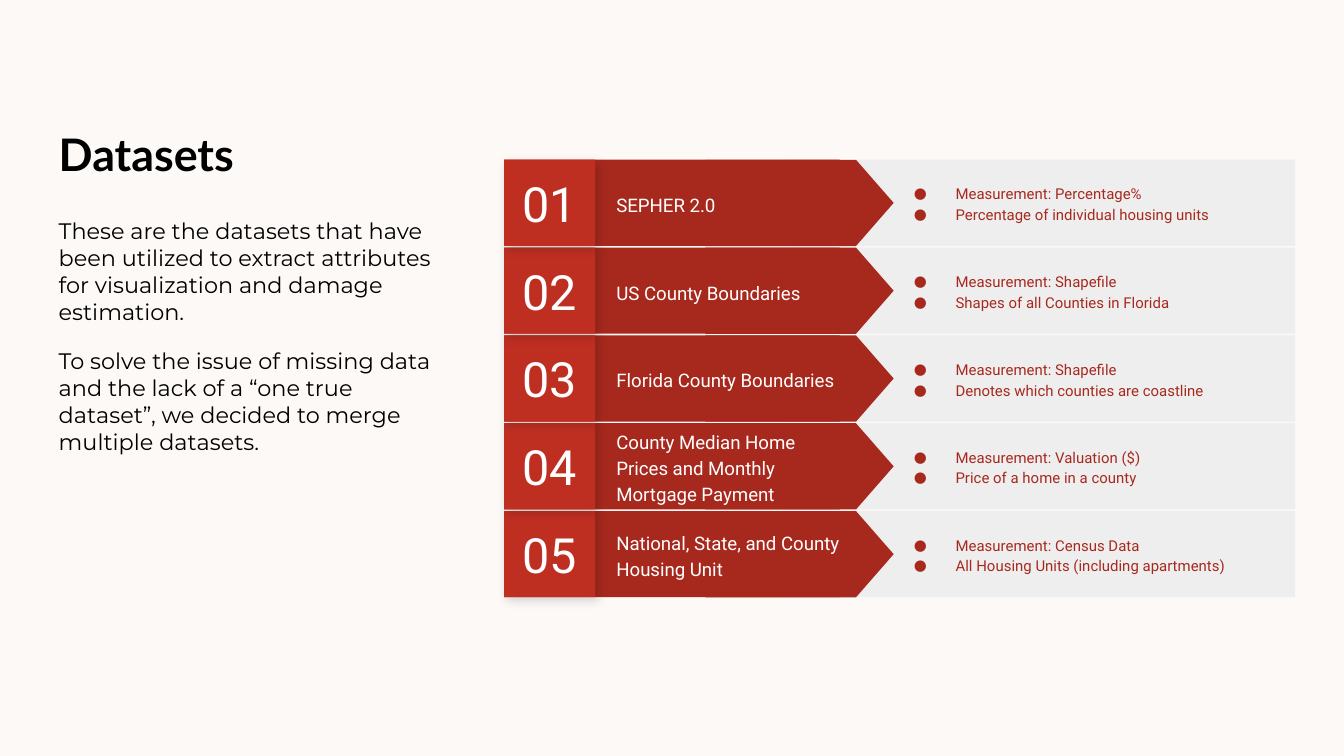
from lxml import etree
from pptx import Presentation
from pptx.dml.color import RGBColor
from pptx.enum.shapes import MSO_SHAPE
from pptx.enum.text import MSO_ANCHOR, MSO_AUTO_SIZE, PP_ALIGN
from pptx.oxml import parse_xml
from pptx.oxml.ns import nsdecls, qn
from pptx.util import Cm, Pt

RECTANGLE = MSO_SHAPE.RECTANGLE
POINTER = MSO_SHAPE.FLOWCHART_OFFPAGE_CONNECTOR
TOP, MIDDLE, BOTTOM = MSO_ANCHOR.TOP, MSO_ANCHOR.MIDDLE, MSO_ANCHOR.BOTTOM
LEFT, CENTER = PP_ALIGN.LEFT, PP_ALIGN.CENTER
NO_AUTOFIT = MSO_AUTO_SIZE.NONE

COLORS = {
    "background": "FCF9F6", "black": "000000", "white": "FFFFFF",
    "panel": "EEEEEE", "banner": "A7291E", "badge": "BE2F22", "badge_base": "B02B20",
}

INTRODUCTION = [
    "These are the datasets that have been utilized to extract attributes "
    "for visualization and damage estimation.",
    "To solve the issue of missing data and the lack of a “one true dataset”, "
    "we decided to merge multiple datasets.",
]
DATASETS = [
    ("SEPHER 2.0", ["Measurement: Percentage%", "Percentage of individual housing units"]),
    ("US County Boundaries", ["Measurement: Shapefile", "Shapes of all Counties in Florida"]),
    ("Florida County Boundaries",
     ["Measurement: Shapefile", "Denotes which counties are coastline"]),
    ("County Median Home Prices and Monthly Mortgage Payment",
     ["Measurement: Valuation ($)", "Price of a home in a county"]),
    ("National, State, and County Housing Unit",
     ["Measurement: Census Data", "All Housing Units (including apartments)"]),
]

# Row grid in centimetres
FIRST_TOP, ROW_STEP, ROW_HEIGHT = 3.02, 1.66, 1.63
BADGE_LEFT, BADGE_WIDTH = 9.53, 1.72
BANNER_LEFT = BADGE_LEFT + BADGE_WIDTH
POINTER_CENTER, POINTER_LENGTH = 15.11, 3.56


class SlideBuilder:
    def __init__(self, slide):
        self.slide = slide
        self.shapes = slide.shapes
        slide.background.fill.solid()
        slide.background.fill.fore_color.rgb = self.color("background")

    def color(self, name):
        return RGBColor.from_string(COLORS[name])

    def start_group(self):
        self.shapes = self.slide.shapes.add_group_shape().shapes

    def fill_text(self, box, texts, font, size, color, anchor=MIDDLE, align=LEFT,
                  spacing=1.0, bold=False):
        frame = box.text_frame
        frame.word_wrap = True
        frame.auto_size = NO_AUTOFIT
        frame.vertical_anchor = anchor
        frame.margin_left = frame.margin_right = Cm(0.25)
        frame.margin_top = frame.margin_bottom = Cm(0.25)
        for index, text in enumerate(texts):
            para = frame.add_paragraph() if index else frame.paragraphs[0]
            para.alignment = align
            para.line_spacing = spacing
            para.space_before = Pt(0)
            span = para.add_run()
            span.text = text
            span.font.name = font
            span.font.size = Pt(size)
            span.font.bold = bold
            span.font.color.rgb = self.color(color)
        return frame.paragraphs

    def placeholder(self, index, left, top, width, height, texts, **style):
        box = self.slide.placeholders[index]
        box.left, box.top, box.width, box.height = map(Cm, (left, top, width, height))
        return self.fill_text(box, texts, color="black", **style)

    def shape(self, kind, left, top, width, height, fill):
        shape = self.shapes.add_shape(kind, *map(Cm, (left, top, width, height)))
        shape.shadow.inherit = False
        shape.fill.solid()
        shape.fill.fore_color.rgb = self.color(fill)
        shape.line.fill.background()
        return shape

    def text(self, left, top, width, height, texts, **style):
        box = self.shapes.add_textbox(*map(Cm, (left, top, width, height)))
        return self.fill_text(box, texts, font="Roboto", spacing=1.15, **style)

    def bullets(self, left, top, width, height, texts, color):
        for para in self.text(left, top, width, height, texts, size=8, color=color):
            properties = para._p.get_or_add_pPr()
            properties.set("marL", str(Cm(1.27)))
            properties.set("indent", str(Cm(-0.79)))
            bullet_color = etree.SubElement(properties, qn("a:buClr"))
            etree.SubElement(bullet_color, qn("a:srgbClr"), val=COLORS[color])
            etree.SubElement(properties, qn("a:buFont"), typeface="Roboto")
            etree.SubElement(properties, qn("a:buChar"), char="●")

    def drop_shadow(self, shape):
        effects = shape._element.spPr.find(qn("a:effectLst"))
        effects.append(parse_xml(
            f'<a:outerShdw {nsdecls("a")} blurRad="{Pt(5.6)}" dist="{Pt(2.2)}" '
            f'dir="{45 * 60000}" algn="bl" rotWithShape="0">'
            f'<a:srgbClr val="{COLORS["black"]}"><a:alpha val="17000"/></a:srgbClr>'
            '</a:outerShdw>'))

    def dataset_row(self, number, name, details):
        top = FIRST_TOP + (number - 1) * ROW_STEP
        self.start_group()
        # Panel and arrow banner
        self.shape(RECTANGLE, 14.88, top, 9.6, ROW_HEIGHT, "panel")
        self.shape(RECTANGLE, BANNER_LEFT, top, 4.62, ROW_HEIGHT, "banner")
        pointer = self.shape(POINTER, POINTER_CENTER - ROW_HEIGHT / 2,
                             top + (ROW_HEIGHT - POINTER_LENGTH) / 2,
                             ROW_HEIGHT, POINTER_LENGTH, "banner")
        pointer.rotation = 270
        self.text(11.4, top + 0.2, 4.88, 1.24, [name], size=10, color="white")
        # Numbered badge
        badge_area = (BADGE_LEFT, top, BADGE_WIDTH, ROW_HEIGHT)
        self.drop_shadow(self.shape(RECTANGLE, *badge_area, "badge_base"))
        badge = self.shape(RECTANGLE, *badge_area, "badge")
        self.fill_text(badge, [f"{number:02d}"], "Roboto", 26, "white", align=CENTER)
        # Details
        self.bullets(16.54, top, 7.47, ROW_HEIGHT, details, "banner")


def main():
    deck = Presentation()
    deck.slide_width, deck.slide_height = Cm(25.4), Cm(14.29)
    page = SlideBuilder(deck.slides.add_slide(deck.slide_layouts[1]))

    # Title and introduction
    page.placeholder(0, 0.86, 1.55, 7.8, 2.11, ["Datasets"],
                     font="Lato", size=24, anchor=BOTTOM, bold=True)
    paras = page.placeholder(1, 0.86, 3.86, 7.8, 8.84, INTRODUCTION,
                             font="Montserrat", size=12, anchor=TOP)
    for para in paras:
        properties = para._p.get_or_add_pPr()
        properties.set("marL", "0")
        properties.set("indent", "0")
        etree.SubElement(properties, qn("a:buNone"))
    paras[1].space_before = paras[1].space_after = Pt(12)

    # Dataset rows, stacked from the bottom up
    for number, (name, details) in reversed(list(enumerate(DATASETS, 1))):
        page.dataset_row(number, name, details)

    deck.save("out.pptx")


if __name__ == "__main__":
    main()
